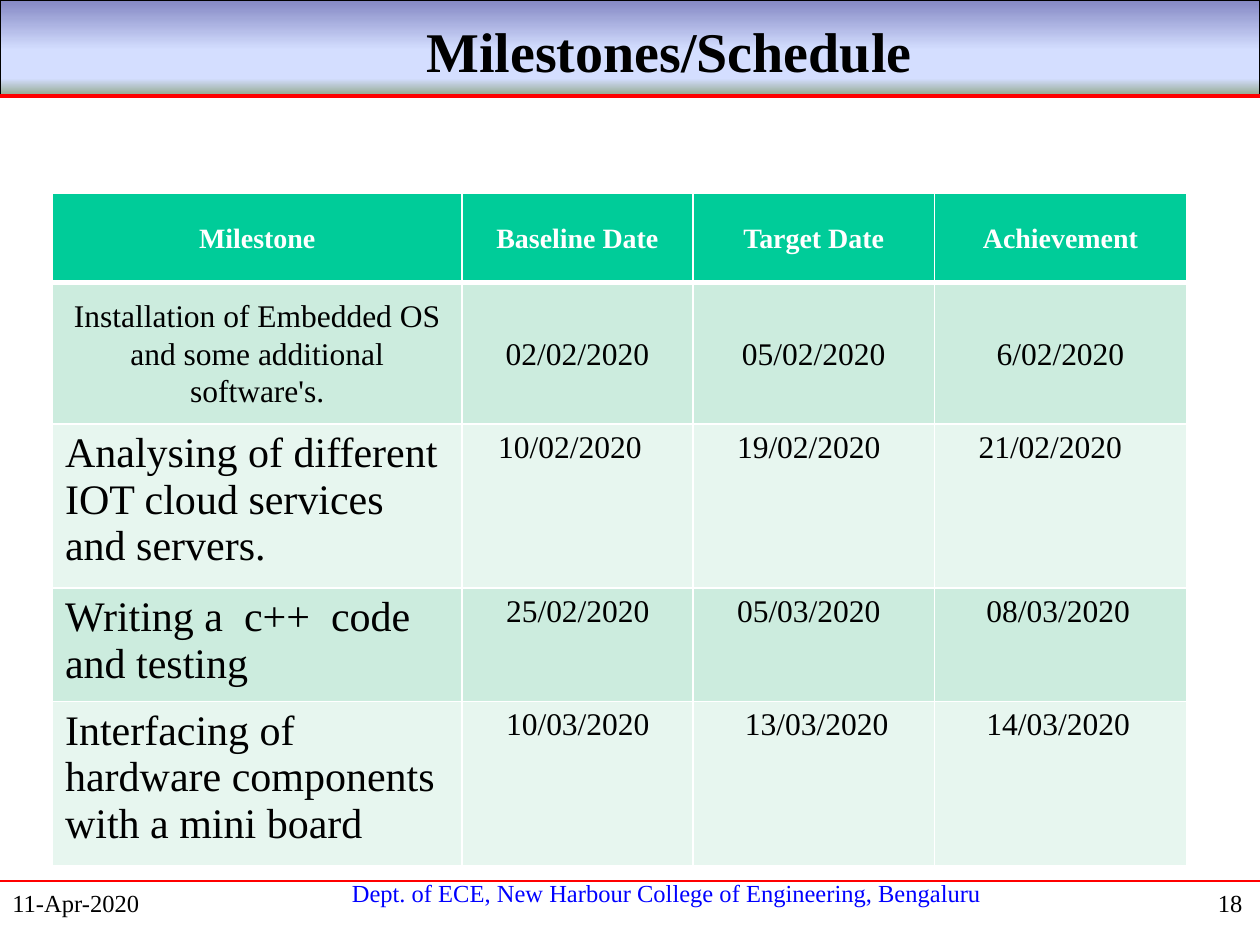
from lxml import etree
from pptx import Presentation
from pptx.dml.color import RGBColor
from pptx.enum.shapes import MSO_CONNECTOR, MSO_SHAPE
from pptx.enum.text import MSO_ANCHOR, PP_ALIGN
from pptx.oxml.ns import qn
from pptx.util import Inches, Pt

LEFT, MID, RIGHT = PP_ALIGN.LEFT, PP_ALIGN.CENTER, PP_ALIGN.RIGHT
MIDDLE = MSO_ANCHOR.MIDDLE
RECT, LINE = MSO_SHAPE.RECTANGLE, MSO_CONNECTOR.STRAIGHT
FONT = "Times New Roman"
HUES = {
    "ink": "000000", "white": "FFFFFF", "red": "FF0000", "blue": "0000FF",
    "head": "00CC99", "dark": "CCECDE", "pale": "E7F6EF",
    "dusk": "8488C4", "sky": "D4DEFF", "moss": "96AB94",
}

prs = Presentation()
prs.slide_width, prs.slide_height = Inches(10), Inches(7.5)
COL, ROW = prs.slide_width / 120, prs.slide_height / 90
slide = prs.slides.add_slide(prs.slide_layouts[6])
shapes = slide.shapes


def place(x, y, w, h):
    return int(x * COL), int(y * ROW), int(w * COL), int(h * ROW)


def write(frame, text, size, hue="ink", align=LEFT, bold=False):
    frame.text = text
    par = frame.paragraphs[0]
    par.alignment = align
    font = par.runs[0].font
    font.name, font.size, font.bold = FONT, Pt(size), bold
    font.color.rgb = RGBColor.from_string(HUES[hue])
    return par


band = shapes.add_shape(RECT, *place(0, 0, 120, 9))
band.shadow.inherit = False
band.line.color.rgb = RGBColor.from_string(HUES["ink"])
band.line.width = Pt(0.75)
band.fill.gradient()
band.fill.gradient_angle = 270
stops = band._element.spPr.find(qn("a:gradFill")).find(qn("a:gsLst"))
for stop in list(stops):
    stops.remove(stop)
for share, hue in ((0, "dusk"), (53, "sky"), (83, "sky"), (100, "moss")):
    stop = etree.SubElement(stops, qn("a:gs"), pos=str(share * 1000))
    etree.SubElement(stop, qn("a:srgbClr"), val=HUES[hue])

for y, width in ((9.1, 2.25), (83.9, 1.5)):
    x, top, span, _ = place(0, y, 120, 0)
    rule = shapes.add_connector(LINE, x, top, span, top)
    rule.line.color.rgb = RGBColor.from_string(HUES["red"])
    rule.line.width = Pt(width)
    etree.SubElement(rule._element.spPr, qn("a:effectLst"))

LABELS = (
    ((20, 83, 85, 4), "Dept. of ECE, New Harbour College of Engineering, Bengaluru", 14, "blue", MID, False, 2),
    ((0, 1, 119.5, 7.7), "Milestones/Schedule", 32, "ink", MID, True, 8),
    ((0, 84, 25, 6), "11-Apr-2020", 14, "ink", LEFT, False, 0),
    ((94.5, 84, 25, 6), "18", 14, "ink", RIGHT, False, 0),
)
for spot, text, size, hue, align, bold, shift in LABELS:
    box = shapes.add_textbox(*place(*spot))
    box.text_frame.word_wrap = True
    par = write(box.text_frame, text, size, hue, align, bold)
    if shift:
        par._p.get_or_add_pPr().set("marL", str(int(shift * COL)))

WIDTHS = (39, 22, 23, 24)
HEIGHTS = (8.5, 13.5, 15.6, 10.8, 15.6)
CELLS = (
    ("Milestone", "Baseline Date", "Target Date", "Achievement"),
    ("Installation of Embedded OS and some additional software's.",
     "02/02/2020", "05/02/2020", "6/02/2020"),
    ("Analysing of different IOT cloud services and servers.",
     "10/02/2020", "19/02/2020", "21/02/2020"),
    ("Writing a  c++  code and testing",
     "25/02/2020", "05/03/2020", "08/03/2020"),
    ("Interfacing of hardware components with a mini board",
     "10/03/2020", "13/03/2020", "14/03/2020"),
)
INDENTS = {2: (0, 3, 4, 4), 3: (0, 4, 4, 5), 4: (0, 4, 5, 5)}
SPACE = Pt(4.5)

spot = place(5, 18.4, sum(WIDTHS), sum(HEIGHTS))
table = shapes.add_table(len(HEIGHTS), len(WIDTHS), *spot).table
for col, width in zip(table.columns, WIDTHS):
    col.width = int(width * COL)
for row, height in zip(table.rows, HEIGHTS):
    row.height = int(height * ROW)

for r, line in enumerate(CELLS):
    for c, text in enumerate(line):
        cell = table.cell(r, c)
        if r == 0:
            fill, hue, size = "head", "white", 16
        else:
            fill, hue = ("dark" if r % 2 else "pale"), "ink"
            size = 24 if c == 0 and r > 1 else 18
        par = write(cell.text_frame, text, size, hue, bold=r == 0)
        if r < 2:
            cell.vertical_anchor = MIDDLE
            cell.margin_left = cell.margin_right = Inches(0.06)
            cell.margin_top = cell.margin_bottom = 0
            par.alignment = MID
            par.line_spacing = 1.07
            par.space_before = par.space_after = Pt(3)
        elif c:
            par._p.get_or_add_pPr().set("marL", str(INDENTS[r][c] * SPACE))
        props = cell._tc.get_or_add_tcPr()
        for side in ("lnL", "lnR", "lnT", "lnB"):
            thick = (r, side) in ((0, "lnB"), (1, "lnT"))
            edge = etree.SubElement(props, qn("a:" + side), w=str(Pt(3 if thick else 1)))
            solid = etree.SubElement(edge, qn("a:solidFill"))
            etree.SubElement(solid, qn("a:srgbClr"), val=HUES["white"])
        cell.fill.solid()
        cell.fill.fore_color.rgb = RGBColor.from_string(HUES[fill])
        props.append(props.find(qn("a:solidFill")))

prs.save("out.pptx")
